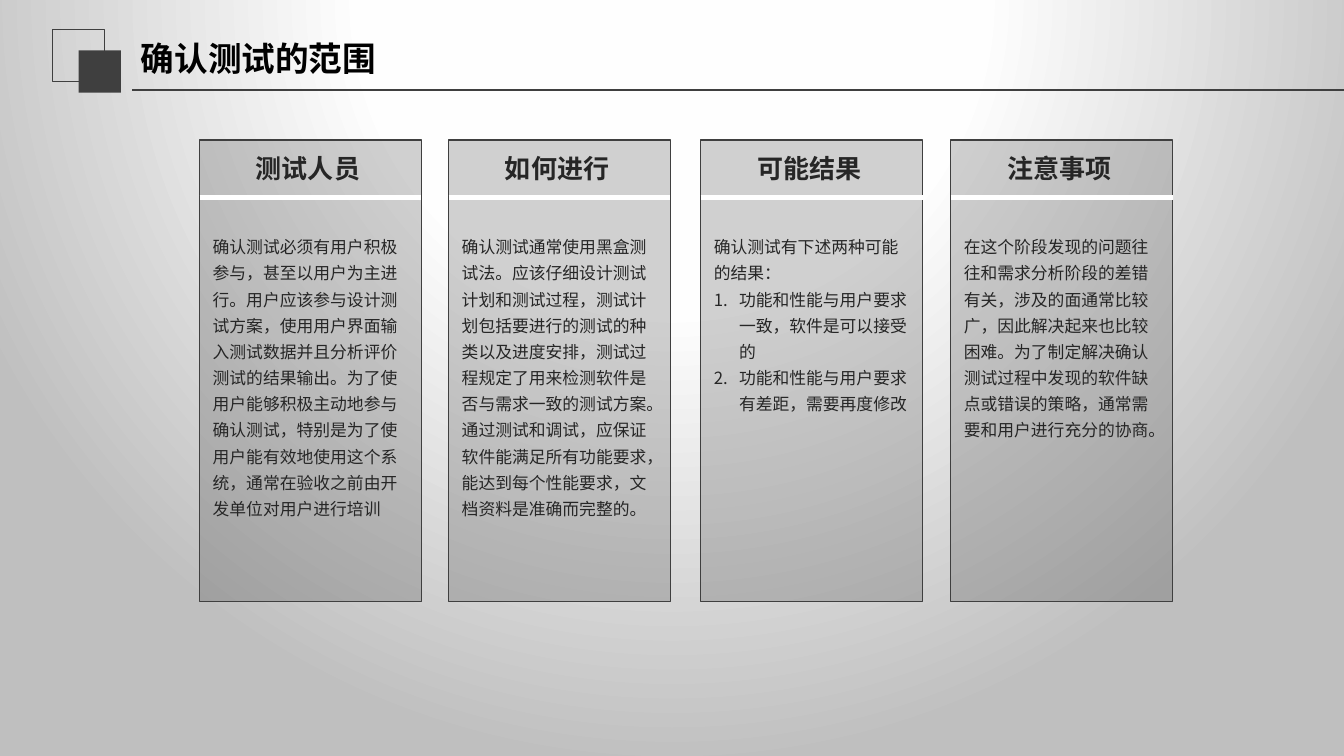
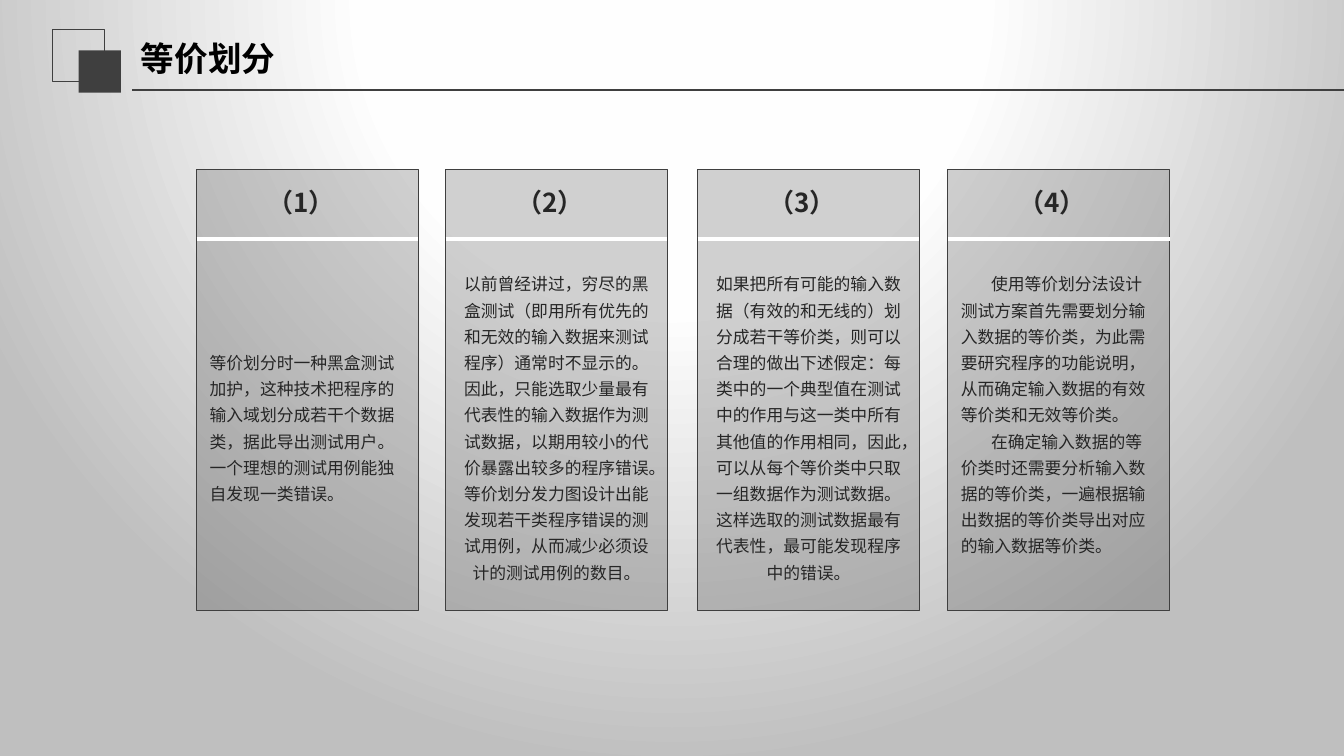
"""Build two slides on software testing, each with four translucent text columns."""
from lxml.etree import SubElement
from pptx import Presentation
from pptx.dml.color import RGBColor
from pptx.enum.shapes import MSO_CONNECTOR, MSO_SHAPE
from pptx.enum.text import MSO_ANCHOR, MSO_AUTO_SIZE, PP_ALIGN
from pptx.oxml.ns import qn
from pptx.util import Inches, Pt

COLORS = {
    "dark": "3F3F3F",
    "body": "262626",
    "title": "000000",
    "rule": "FFFFFF",
}
BACKDROP = [(0, "FFFFFF"), (40, "FEFEFE"), (100, "BFBFBF")]
BACKDROP_CENTRE = {"l": 50, "t": -80, "r": 50, "b": 180}
CJK_FONT = "Noto Sans CJK SC"
TITLE_FONT = "Calibri"
SLIDE_WIDTH, SLIDE_HEIGHT = 13.33, 7.5
COLUMN_WIDTH = 2.2
COLUMN_LEFTS = [1.98, 4.45, 6.95, 9.43]
COLUMN_ALPHA = 24
INSET = 0.13

SLIDES = [
    {
        "title": "确认测试的范围",
        "shift": 0, "top": 1.39, "height": 4.58,
        "rule": 0.57, "heading": 0.12, "heading_shift": 0.04, "body": 0.9,
        "columns": [
            {"heading": "测试人员", "paragraphs": [
                "确认测试必须有用户积极参与，甚至以用户为主进行。用户应该参与设计测试方案，使用用户界面输入测试数据并且分析评价测试的结果输出。为了使用户能够积极主动地参与确认测试，特别是为了使用户能有效地使用这个系统，通常在验收之前由开发单位对用户进行培训",
            ]},
            {"heading": "如何进行", "paragraphs": [
                "确认测试通常使用黑盒测试法。应该仔细设计测试计划和测试过程，测试计划包括要进行的测试的种类以及进度安排，测试过程规定了用来检测软件是否与需求一致的测试方案。通过测试和调试，应保证软件能满足所有功能要求，能达到每个性能要求，文档资料是准确而完整的。",
            ]},
            {"heading": "可能结果", "paragraphs": [
                "确认测试有下述两种可能的结果：",
            ], "numbered": [
                "功能和性能与用户要求一致，软件是可以接受的",
                "功能和性能与用户要求有差距，需要再度修改",
            ]},
            {"heading": "注意事项", "paragraphs": [
                "在这个阶段发现的问题往往和需求分析阶段的差错有关，涉及的面通常比较广，因此解决起来也比较困难。为了制定解决确认测试过程中发现的软件缺点或错误的策略，通常需要和用户进行充分的协商。",
            ]},
        ],
    },
    {
        "title": "等价划分",
        "shift": -0.03, "top": 1.68, "height": 4.38,
        "rule": 0.69, "heading": 0.17, "heading_shift": 0, "body": 0.98,
        "columns": [
            {"heading": "（1）", "body": 1.76, "paragraphs": [
                "等价划分时一种黑盒测试加护，这种技术把程序的输入域划分成若干个数据类，据此导出测试用户。一个理想的测试用例能独自发现一类错误。",
            ]},
            {"heading": "（2）", "align": PP_ALIGN.CENTER, "paragraphs": [
                "以前曾经讲过，穷尽的黑盒测试（即用所有优先的和无效的输入数据来测试程序）通常时不显示的。因此，只能选取少量最有代表性的输入数据作为测试数据，以期用较小的代价暴露出较多的程序错误。等价划分发力图设计出能发现若干类程序错误的测试用例，从而减少必须设计的测试用例的数目。",
            ]},
            {"heading": "（3）", "align": PP_ALIGN.CENTER, "paragraphs": [
                "如果把所有可能的输入数据（有效的和无线的）划分成若干等价类，则可以合理的做出下述假定：每类中的一个典型值在测试中的作用与这一类中所有其他值的作用相同，因此，可以从每个等价类中只取一组数据作为测试数据。这样选取的测试数据最有代表性，最可能发现程序中的错误。",
            ]},
            {"heading": "（4）", "indent": 0.3, "paragraphs": [
                "使用等价划分法设计测试方案首先需要划分输入数据的等价类，为此需要研究程序的功能说明，从而确定输入数据的有效等价类和无效等价类。",
                "在确定输入数据的等价类时还需要分析输入数据的等价类，一遍根据输出数据的等价类导出对应的输入数据等价类。",
            ]},
        ],
    },
]


def rgb(name):
    return RGBColor.from_string(COLORS[name])


def set_backdrop(master):
    master.background.fill.gradient()
    gradient = master.element.find(".//" + qn("a:gradFill"))
    gradient.clear()
    gradient.set("rotWithShape", "1")
    stops = SubElement(gradient, qn("a:gsLst"))
    for position, color in BACKDROP:
        stop = SubElement(stops, qn("a:gs"), pos=str(position * 1000))
        SubElement(stop, qn("a:srgbClr"), val=color)
    circle = SubElement(gradient, qn("a:path"), path="circle")
    SubElement(circle, qn("a:fillToRect"),
               {side: str(share * 1000) for side, share in BACKDROP_CENTRE.items()})


def add_rectangle(slide, left, top, width, height, fill=None, alpha=None, line=None):
    rectangle = slide.shapes.add_shape(
        MSO_SHAPE.RECTANGLE, Inches(left), Inches(top), Inches(width), Inches(height))
    rectangle.shadow.inherit = False
    if fill:
        rectangle.fill.solid()
        rectangle.fill.fore_color.rgb = rgb(fill)
    else:
        rectangle.fill.background()
    if alpha:
        color = rectangle.fill._xPr.find(".//" + qn("a:srgbClr"))
        SubElement(color, qn("a:alpha"), val=str(alpha * 1000))
    if line:
        rectangle.line.color.rgb = rgb("dark")
        rectangle.line.width = Pt(line)
    else:
        rectangle.line.fill.background()


def add_rule(slide, left, right, top, color, weight):
    rule = slide.shapes.add_connector(
        MSO_CONNECTOR.STRAIGHT, Inches(left), Inches(top), Inches(right), Inches(top))
    rule.line.color.rgb = rgb(color)
    rule.line.width = Pt(weight)
    SubElement(rule._element.spPr, qn("a:effectLst"))


def add_text_box(slide, left, top, width, height, insets=None):
    frame = slide.shapes.add_textbox(
        Inches(left), Inches(top), Inches(width), Inches(height)).text_frame
    frame.word_wrap = True
    if insets:
        frame.auto_size = MSO_AUTO_SIZE.SHAPE_TO_FIT_TEXT
        (frame.margin_left, frame.margin_top,
         frame.margin_right, frame.margin_bottom) = map(Inches, insets)
    return frame


def format_runs(paragraph, size, color="body", bold=False, font=CJK_FONT):
    for run in paragraph.runs:
        run.font.size = Pt(size)
        run.font.bold = bold
        run.font.color.rgb = rgb(color)
        run.font.name = font
        SubElement(run.font._element, qn("a:ea"), typeface=CJK_FONT)


def set_indent(paragraph, margin, first_line):
    properties = paragraph._p.get_or_add_pPr()
    properties.set("marL", str(Inches(margin)))
    properties.set("indent", str(Inches(first_line)))
    return properties


def add_header(slide, title):
    add_rectangle(slide, 0.52, 0.29, 0.52, 0.52, line=0.75)
    add_rectangle(slide, 0.78, 0.5, 0.42, 0.42, fill="dark")
    add_rule(slide, 1.31, SLIDE_WIDTH, 0.89, "dark", 1.25)
    frame = add_text_box(slide, 1.3, 0.29, 4.74, 0.58)
    frame.vertical_anchor = MSO_ANCHOR.MIDDLE
    frame.text = title
    format_runs(frame.paragraphs[0], 24, "title", True, TITLE_FONT)


def fill_body(frame, column):
    numbered = column.get("numbered", [])
    frame.text = "\n".join(column["paragraphs"] + numbered)
    for index, paragraph in enumerate(frame.paragraphs):
        if index >= len(column["paragraphs"]):
            properties = set_indent(paragraph, 0.25, -0.25)
            SubElement(properties, qn("a:buAutoNum"), type="arabicPeriod")
        elif "indent" in column:
            set_indent(paragraph, 0, column["indent"])
        paragraph.alignment = column.get("align", PP_ALIGN.LEFT)
        paragraph.line_spacing = 1.3
        format_runs(paragraph, 12)


def add_column(slide, left, layout, column):
    top, height = layout["top"], layout["height"]
    add_rectangle(slide, left, top, COLUMN_WIDTH, height, "dark", COLUMN_ALPHA, 1)
    add_rule(slide, left, left + COLUMN_WIDTH, top + layout["rule"], "rule", 3)

    heading = add_text_box(slide, left + layout["heading_shift"], top + layout["heading"],
                           COLUMN_WIDTH, 0.31, (0, 0, INSET, 0))
    heading.text = column["heading"]
    heading.paragraphs[0].alignment = PP_ALIGN.CENTER
    format_runs(heading.paragraphs[0], 18.6, bold=True)

    offset = column.get("body", layout["body"])
    body = add_text_box(slide, left, top + offset, COLUMN_WIDTH, height - offset - 0.25,
                        (INSET, 0, INSET, 0))
    fill_body(body, column)


def main():
    prs = Presentation()
    prs.slide_width, prs.slide_height = Inches(SLIDE_WIDTH), Inches(SLIDE_HEIGHT)
    set_backdrop(prs.slide_master)
    for layout in SLIDES:
        slide = prs.slides.add_slide(prs.slide_layouts[6])
        add_header(slide, layout["title"])
        for left, column in zip(COLUMN_LEFTS, layout["columns"]):
            add_column(slide, left + layout["shift"], layout, column)
    prs.save("out.pptx")


if __name__ == "__main__":
    main()
